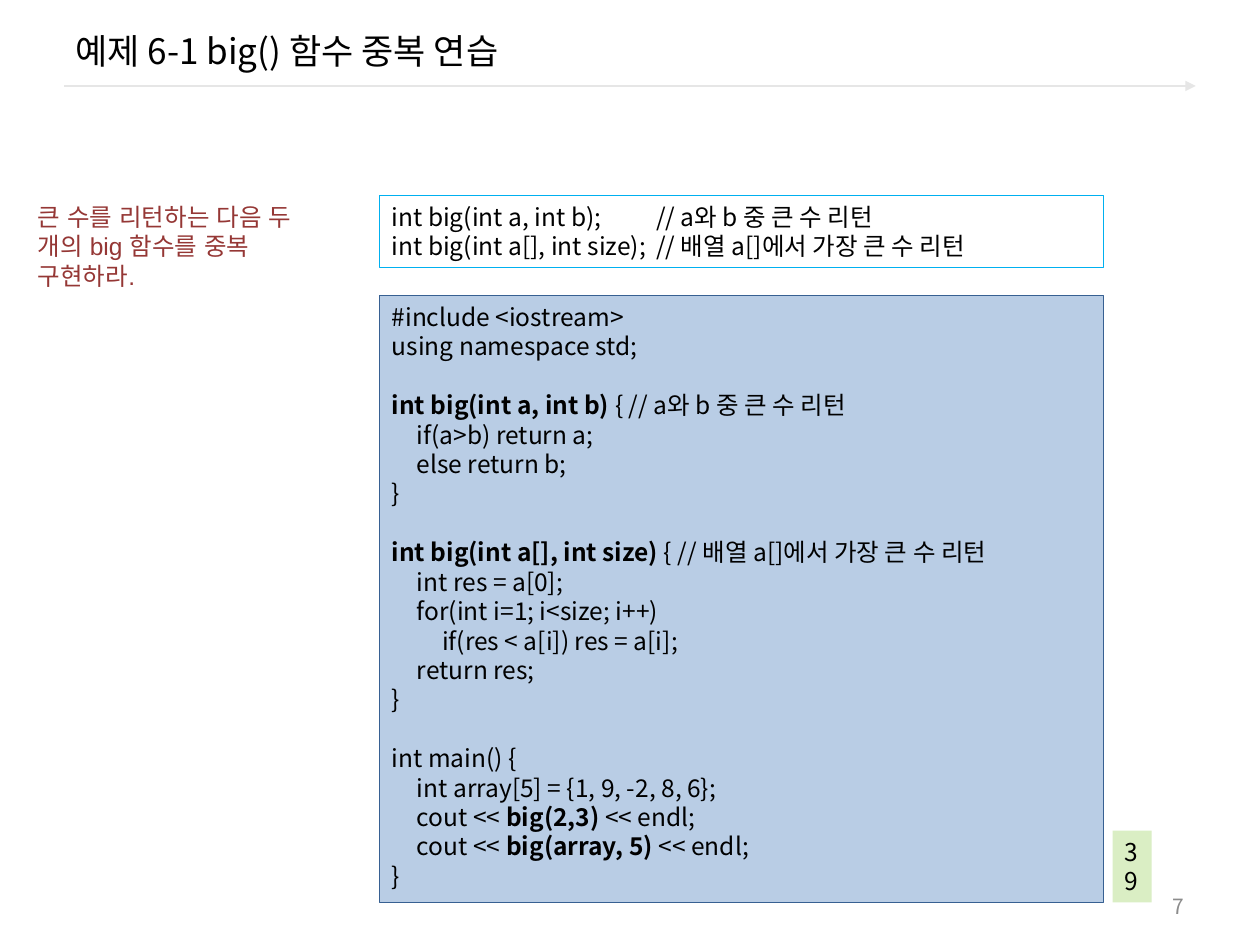
import pptx
import pptx.dml.color
import pptx.enum.shapes
import pptx.enum.text
import pptx.oxml
import pptx.oxml.ns
import pptx.util

W, H = 10, 7.5
FONT = "Noto Sans CJK KR"
LINE = 16.83  # code line pitch in points
COLORS = {
    "ink": "000000", "rule": "E6E6E6", "number": "8C8C8C", "task": "953735",
    "proto_line": "00B0F0", "code_fill": "B9CDE5", "code_line": "376092",
    "output_fill": "DAEEC4",
}
# Shares of the slide's width and height
CODE_X, CODE_W = 0.301, 0.575
TOP, ROW_H, CODE_Y, BOTTOM = 0.207, 0.076, 0.313, 0.955
OUT_X, OUT_W = 0.883, 0.031

TITLE = "예제 6-1 big() 함수 중복 연습"
TASK = "큰 수를 리턴하는 다음 두 개의 big 함수를 중복 구현하라."
PROTOTYPES = """int big(int a, int b);\t// a와 b 중 큰 수 리턴
int big(int a[], int size);\t// 배열 a[]에서 가장 큰 수 리턴"""
CODE = """#include <iostream>
using namespace std;

**int big(int a, int b) **{ // a와 b 중 큰 수 리턴
\tif(a>b) return a;
\telse return b;
}

**int big(int a[], int size) **{ // 배열 a[]에서 가장 큰 수 리턴
\tint res = a[0];
\tfor(int i=1; i<size; i++)
\t\tif(res < a[i]) res = a[i];
\treturn res;
}

int main() {
\tint array[5] = {1, 9, -2, 8, 6};
\tcout << **big(2,3) **<< endl;
\tcout << **big(array, 5) **<< endl;
}"""


def rgb(name):
    return pptx.dml.color.RGBColor.from_string(COLORS[name])


def place(x, y, w, h):
    """Turn shares of the slide into lengths."""
    return [pptx.util.Inches(v) for v in (x * W, y * H, w * W, h * H)]


def set_tabs(p, stops):
    tabs = pptx.oxml.parse_xml(f"<a:tabLst {pptx.oxml.ns.nsdecls('a')}/>")
    for stop in stops:
        tab = tabs.makeelement(pptx.oxml.ns.qn("a:tab"),
                               {"pos": str(pptx.util.Inches(stop)), "algn": "l"})
        tabs.append(tab)
    p._p.get_or_add_pPr().append(tabs)


def add_run(p, text, size, color, font, bold):
    r = p.add_run()
    r.text = text
    style = {"name": font, "size": pptx.util.Pt(size), "bold": bold}
    for key, value in style.items():
        setattr(r.font, key, value)
    r.font.color.rgb = rgb(color)
    ea = pptx.oxml.parse_xml(
        f'<a:ea {pptx.oxml.ns.nsdecls("a")} typeface="{font}"/>')
    r.font._element.find(pptx.oxml.ns.qn("a:latin")).addnext(ea)


def write(sp, text, size=14, color="ink", font=FONT, pitch=LINE, tabs=(),
          wrap=True, anchor="TOP", align="LEFT"):
    """Write lines; ** switches bold, an empty line adds space above the next."""
    tf = sp.text_frame
    frame = {"word_wrap": wrap,
             "auto_size": pptx.enum.text.MSO_AUTO_SIZE.NONE,
             "vertical_anchor": getattr(pptx.enum.text.MSO_ANCHOR, anchor)}
    for key, value in frame.items():
        setattr(tf, key, value)
    lines = [(line, i > 0) for i, block in enumerate(text.split("\n\n"))
             for line in block.split("\n")]
    blocks = {block.split("\n")[0] for block in text.split("\n\n")}
    for i, (line, later) in enumerate(lines):
        p = tf.paragraphs[0] if i == 0 else tf.add_paragraph()
        p.alignment = getattr(pptx.enum.text.PP_ALIGN, align)
        if pitch:
            p.line_spacing = pptx.util.Pt(pitch)
        if later and line in blocks:
            p.space_before = pptx.util.Pt(LINE)
        if tabs:
            set_tabs(p, tabs)
        for n, part in enumerate(line.split("**")):
            if part:
                add_run(p, part, size, color, font, n % 2 == 1)


def add_label(s, box, text, **style):
    write(s.shapes.add_textbox(*place(*box)), text, **style)


def add_panel(s, box, text, fill=None, line=None, **style):
    sp = s.shapes.add_shape(pptx.enum.shapes.MSO_SHAPE.RECTANGLE, *place(*box))
    sp.shadow.inherit = False
    if fill:
        sp.fill.solid()
        sp.fill.fore_color.rgb = rgb(fill)
    else:
        sp.fill.background()
    if line:
        sp.line.color.rgb = rgb(line)
        sp.line.width = pptx.util.Pt(0.75)
    else:
        sp.line.fill.background()
    write(sp, text, **style)


def add_title_rule(s, x1, x2, y):
    x1, y, x2, _ = place(x1, y, x2, 0)
    rule = s.shapes.add_connector(
        pptx.enum.shapes.MSO_CONNECTOR.STRAIGHT, x1, y, x2, y)
    rule.line.color.rgb = rgb("rule")
    rule.line.width = pptx.util.Pt(1.5)
    ns = pptx.oxml.ns.nsdecls("a")
    rule.line._get_or_add_ln().append(
        pptx.oxml.parse_xml(f'<a:tailEnd {ns} type="triangle"/>'))
    rule._element.spPr.append(pptx.oxml.parse_xml(f"<a:effectLst {ns}/>"))


def main():
    prs = pptx.Presentation()
    prs.slide_width, prs.slide_height = pptx.util.Inches(W), pptx.util.Inches(H)
    s = prs.slides.add_slide(prs.slide_layouts[6])

    add_title_rule(s, 0.051, 0.949, 0.091)
    add_label(s, (0.05, 0.011, 0.9, 0.085), TITLE,
              size=20, pitch=None, anchor="MIDDLE")
    add_label(s, (0.717, 0.937, 0.233, 0.043), "7", size=12, color="number",
              pitch=None, anchor="MIDDLE", align="RIGHT")
    add_panel(s, (CODE_X, TOP, CODE_W, ROW_H), PROTOTYPES,
              line="proto_line", tabs=[2.1])
    add_panel(s, (CODE_X, CODE_Y, CODE_W, BOTTOM - CODE_Y), CODE,
              fill="code_fill", line="code_line", tabs=[0.2, 0.4])
    add_panel(s, (OUT_X, BOTTOM - ROW_H, OUT_W, ROW_H), "3\n9",
              fill="output_fill", wrap=False)
    add_label(s, (0.02, TOP, 0.252, 0.108), TASK, color="task", font="Arial")

    prs.save("out.pptx")


if __name__ == "__main__":
    main()
